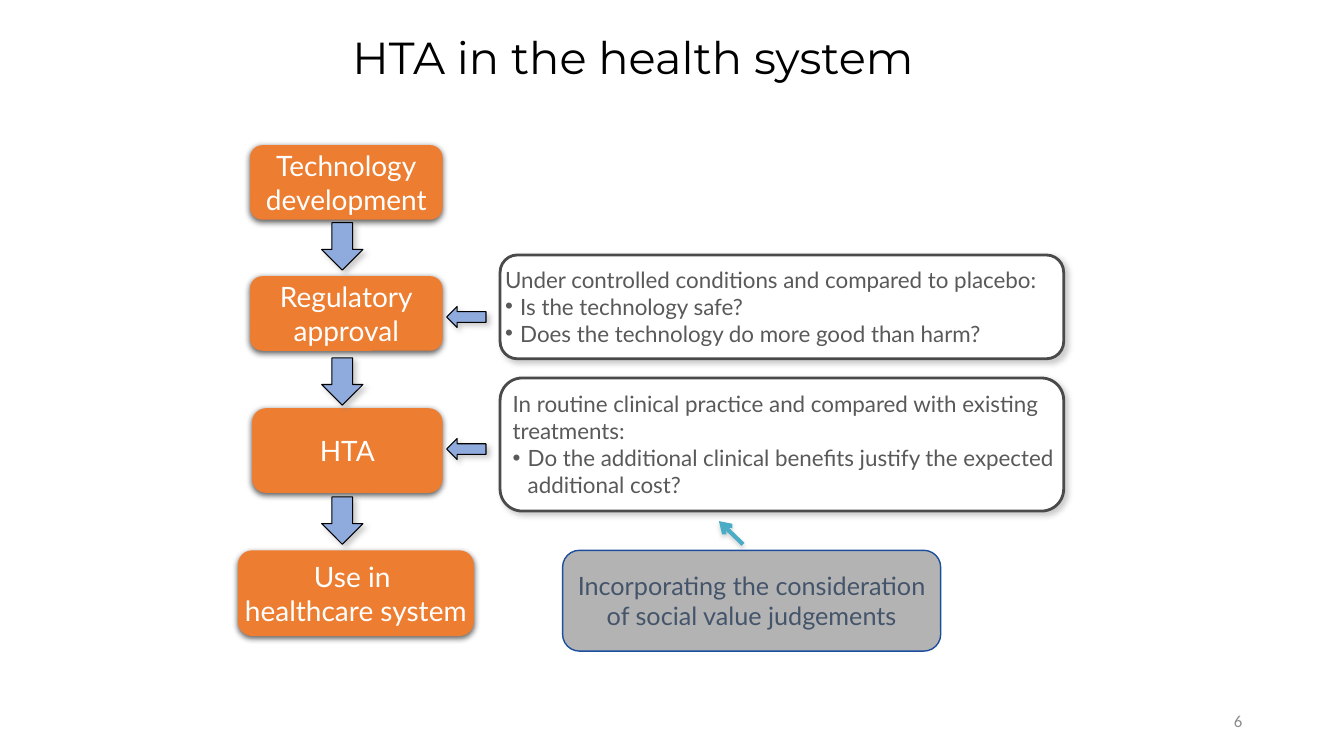
import pptx
import pptx.util
import pptx.dml.color
import pptx.enum.shapes
import pptx.enum.text
import pptx.oxml
import pptx.oxml.ns

Inches = pptx.util.Inches
Pt = pptx.util.Pt
RGBColor = pptx.dml.color.RGBColor
SHAPES = pptx.enum.shapes.MSO_SHAPE
ALIGN = pptx.enum.text.PP_ALIGN
ANCHOR = pptx.enum.text.MSO_ANCHOR
AUTO_SIZE = pptx.enum.text.MSO_AUTO_SIZE
qn = pptx.oxml.ns.qn
NAMESPACE = pptx.oxml.ns.nsdecls("a")

BLACK = RGBColor(0x00, 0x00, 0x00)
WHITE = RGBColor(0xFF, 0xFF, 0xFF)
ORANGE = RGBColor(0xED, 0x7D, 0x31)
ARROW_BLUE = RGBColor(0x8F, 0xAA, 0xDC)
DARK_GRAY = RGBColor(0x4A, 0x4A, 0x4A)
TEXT_GRAY = RGBColor(0x59, 0x59, 0x59)
NUMBER_GRAY = RGBColor(0x8C, 0x8C, 0x8C)
SILVER = RGBColor(0xA5, 0xA5, 0xA5)
NAVY = RGBColor(0x1B, 0x4F, 0x9E)
SLATE = RGBColor(0x44, 0x54, 0x6A)
TEAL = RGBColor(0x4B, 0xAC, 0xC6)
SHADOW_GRAY = RGBColor(0x80, 0x80, 0x80)

SOFT_SHADOW = (SHADOW_GRAY, 40, 4, 3, 45)
STEP_SHADOW = (BLACK, 63, 4.5, 1.5, 90)
LINE_SHADOW = (SHADOW_GRAY, 35, 3.1, 1.8, 90)


def style_shape(shape, fill=None, line=None, line_width=0, shadow=None):
    if fill is not None:
        shape.fill.solid()
        shape.fill.fore_color.rgb = fill
    if line is None:
        shape.line.fill.background()
    else:
        shape.line.color.rgb = line
        shape.line.width = Pt(line_width)
    properties = shape._element.spPr
    for effects in properties.findall(qn("a:effectLst")):
        properties.remove(effects)
    content = ""
    if shadow:
        color, alpha, blur, distance, angle = shadow
        content = (
            f'<a:outerShdw blurRad="{Pt(blur)}" dist="{Pt(distance)}" dir="{angle * 60000}" '
            f'rotWithShape="0"><a:srgbClr val="{color}"><a:alpha val="{alpha * 1000}"/>'
            "</a:srgbClr></a:outerShdw>"
        )
    properties.append(pptx.oxml.parse_xml(f"<a:effectLst {NAMESPACE}>{content}</a:effectLst>"))


def write_text(shape, lines, font, size, color, align, frame_format):
    frame = shape.text_frame
    for name, value in frame_format.items():
        setattr(frame, name, value)
    for index, line in enumerate(lines):
        paragraph = frame.paragraphs[0] if index == 0 else frame.add_paragraph()
        paragraph.text = line
        paragraph.alignment = align
        for run in paragraph.runs:
            run.font.color.rgb = color
            for name, value in {"name": font, "size": Pt(size)}.items():
                setattr(run.font, name, value)


presentation = pptx.Presentation()
presentation.slide_width = Inches(13.33)
presentation.slide_height = Inches(7.5)
slide = presentation.slides.add_slide(presentation.slide_layouts[6])

middle = {"word_wrap": True, "vertical_anchor": ANCHOR.MIDDLE}
page_number = slide.shapes.add_textbox(Inches(9.42), Inches(6.95), Inches(3), Inches(0.4))
write_text(page_number, ["6"], "Calibri", 12, NUMBER_GRAY, ALIGN.RIGHT, middle)

title = slide.shapes.add_textbox(Inches(1.88), Inches(0.23), Inches(8.8), Inches(0.72))
write_text(title, ["HTA in the health system"], "Montserrat", 32, BLACK, ALIGN.CENTER, middle)
title.text_frame.paragraphs[0].line_spacing = 0.9

questions = [
    (2.53, 1.03, 0, [
        "Under controlled conditions and compared to placebo:",
        "Is the technology safe?",
        "Does the technology do more good than harm?",
    ]),
    (3.75, 1.32, 0.06, [
        "In routine clinical practice and compared with existing treatments:",
        "Do the additional clinical benefits justify the expected additional cost?",
    ]),
]
for top, height, left_margin, lines in questions:
    box = slide.shapes.add_shape(
        SHAPES.ROUNDED_RECTANGLE, Inches(4.96), Inches(top), Inches(5.59), Inches(height))
    style_shape(box, WHITE, DARK_GRAY, 2, SOFT_SHADOW)
    write_text(box, lines, "Lato", 16, TEXT_GRAY, ALIGN.LEFT, {
        "word_wrap": True,
        "vertical_anchor": ANCHOR.TOP,
        "auto_size": AUTO_SIZE.SHAPE_TO_FIT_TEXT,
        "margin_left": Inches(left_margin),
        "margin_right": 0,
        "margin_top": Inches(0.06),
        "margin_bottom": Inches(0.06),
    })
    for paragraph in box.text_frame.paragraphs[1:]:
        paragraph_properties = paragraph._p.get_or_add_pPr()
        paragraph_properties.set("marL", str(Inches(0.15)))
        paragraph_properties.set("indent", str(Inches(-0.15)))
        for bullet in ('<a:buFont {} typeface="Arial"/>', '<a:buChar {} char="•"/>'):
            paragraph_properties.append(pptx.oxml.parse_xml(bullet.format(NAMESPACE)))

steps = [
    (2.48, 1.44, 1.91, 0.74, ["Technology\vdevelopment"]),
    (2.48, 2.74, 1.91, 0.74, ["Regulatory\vapproval"]),
    (2.5, 4.05, 1.89, 0.84, ["HTA"]),
    (2.36, 5.46, 2.34, 0.85, ["Use in ", "healthcare system"]),
]
for left, top, width, height, lines in steps:
    step = slide.shapes.add_shape(
        SHAPES.ROUNDED_RECTANGLE, Inches(left), Inches(top), Inches(width), Inches(height))
    style_shape(step, ORANGE, shadow=STEP_SHADOW)
    write_text(step, lines, "Lato", 20, WHITE, ALIGN.CENTER,
               {"word_wrap": False, "vertical_anchor": ANCHOR.MIDDLE})

arrow_groups = [
    (SHAPES.DOWN_ARROW, 3.19, 0.41, 0.47, [2.21, 3.55, 4.93]),
    (SHAPES.LEFT_ARROW, 4.43, 0.39, 0.21, [3.04, 4.35]),
]
for kind, left, width, height, tops in arrow_groups:
    for top in tops:
        arrow = slide.shapes.add_shape(
            kind, Inches(left), Inches(top), Inches(width), Inches(height))
        style_shape(arrow, ARROW_BLUE, BLACK, 0.75, SOFT_SHADOW)

judgements = slide.shapes.add_shape(
    SHAPES.ROUNDED_RECTANGLE, Inches(5.58), Inches(5.46), Inches(3.75), Inches(1))
style_shape(judgements, SILVER, NAVY, 1)
fill_color = judgements._element.spPr.find(qn("a:solidFill")).find(qn("a:srgbClr"))
fill_color.append(pptx.oxml.parse_xml(f'<a:alpha {NAMESPACE} val="84000"/>'))
write_text(judgements, ["Incorporating the consideration of social value judgements"],
           "Lato", 18, SLATE, ALIGN.CENTER, middle)

pointer = slide.shapes.add_connector(
    pptx.enum.shapes.MSO_CONNECTOR.STRAIGHT,
    Inches(7.37), Inches(5.4), Inches(7.13), Inches(5.17))
style_shape(pointer, line=TEAL, line_width=3, shadow=LINE_SHADOW)
pointer.line._get_or_add_ln().append(
    pptx.oxml.parse_xml(f'<a:tailEnd {NAMESPACE} type="arrow"/>'))

presentation.save("out.pptx")
